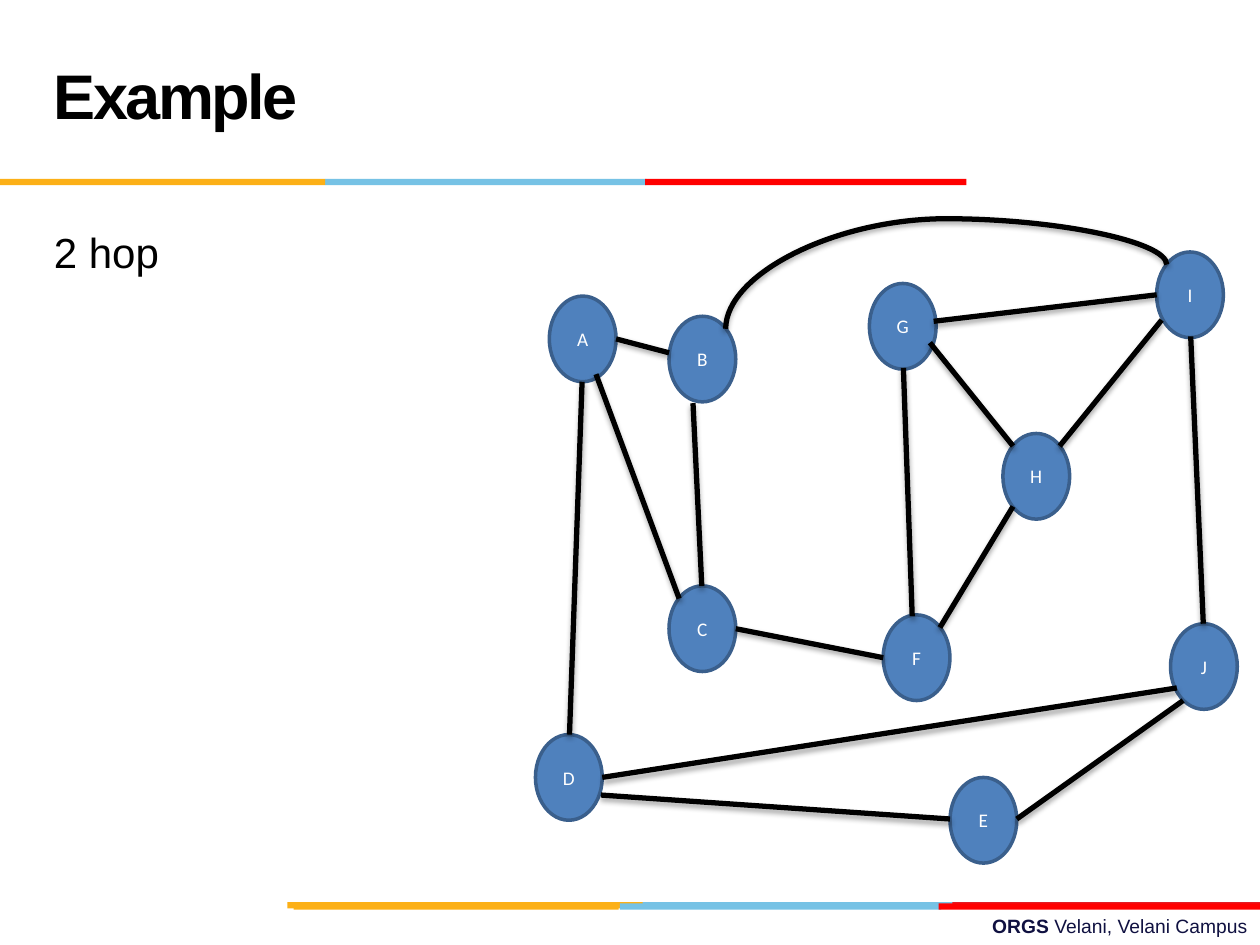
from lxml import etree
from pptx import Presentation
from pptx.dml.color import RGBColor
from pptx.enum import shapes, text
from pptx.oxml import ns
from pptx.util import Inches, Pt

COLORS = {
    "black": "000000", "white": "FFFFFF", "navy": "101141",
    "node": "4F81BD", "node_line": "3A5F8C",
    "gold": "FCB017", "sky": "76C2E5", "red": "FF0000", "crimson": "E31C24",
}

BAR_HEIGHT = 0.05
BARS = [  # left, top, width, color
    (5.06, 7.16, 2.55, "sky"), (7.56, 7.16, 2.44, "crimson"), (2.28, 7.16, 2.82, "gold"),
    (4.92, 7.17, 2.55, "sky"), (2.33, 7.17, 2.58, "gold"), (7.45, 7.17, 2.55, "red"),
    (2.58, 1.42, 2.55, "sky"), (0, 1.42, 2.58, "gold"), (5.12, 1.42, 2.55, "red"),
]

NODE_SIZE = (0.53, 0.68)
NODES = {  # label: left, top
    "A": (4.36, 2.35), "B": (5.31, 2.51), "C": (5.31, 4.65), "F": (7.01, 4.88),
    "D": (4.25, 5.83), "H": (7.96, 3.44), "E": (7.54, 6.17), "G": (6.9, 2.25),
    "J": (9.29, 4.95), "I": (9.18, 2),
}

EDGES = {  # nodes joined: start x, start y, end x, end y
    "AB": (4.89, 2.69, 5.31, 2.8), "CF": (5.84, 4.99, 7.01, 5.22),
    "AC": (4.73, 2.97, 5.39, 4.75), "AD": (4.62, 3.03, 4.52, 5.83),
    "BC": (5.5, 3.2, 5.57, 4.65), "ED": (7.54, 6.5, 4.77, 6.31),
    "GF": (7.17, 2.92, 7.24, 4.89), "IJ": (9.45, 2.67, 9.55, 4.95),
    "GH": (7.38, 2.72, 8.04, 3.54), "GI": (7.41, 2.55, 9.18, 2.34),
    "IH": (9.22, 2.54, 8.41, 3.54), "DJ": (4.78, 6.17, 9.34, 5.46),
    "HF": (8.04, 4.02, 7.46, 4.98), "JE": (9.39, 5.56, 8.07, 6.5),
}
CURVED_EDGE = (5.76, 2.61, 9.26, 2.1)  # B to I
CURVE_BEND = 171400  # how far the arc rises, in 1/1000 % of the end-to-end height


def color(name):
    return RGBColor.from_string(COLORS[name])


def write(frame, runs, size, font="Arial", fill="black", align=text.PP_ALIGN.LEFT,
          anchor=text.MSO_ANCHOR.TOP, line_spacing=None, space_before=0, tracking=None):
    """Fill a text frame with one paragraph of (words, bold) runs."""
    frame.word_wrap = True
    frame.vertical_anchor = anchor
    paragraph = frame.paragraphs[0]
    paragraph.alignment = align
    paragraph.space_before = Pt(space_before)
    if line_spacing:
        paragraph.line_spacing = Pt(line_spacing)
    for words, bold in runs:
        run = paragraph.add_run()
        run.text = words
        run.font.size = Pt(size)
        run.font.name = font
        run.font.bold = bold
        run.font.color.rgb = color(fill)
        if tracking:
            run.font._element.set("spc", str(round(tracking * 100)))


def add_text(slide, box, runs, size, **style):
    shape = slide.shapes.add_textbox(*map(Inches, box))
    write(shape.text_frame, runs, size, **style)


def add_filled(slide, kind, box, fill):
    shape = slide.shapes.add_shape(kind, *map(Inches, box))
    shape.shadow.inherit = False
    shape.fill.solid()
    shape.fill.fore_color.rgb = color(fill)
    shape.line.fill.background()
    return shape


def add_node(slide, label, corner):
    shape = add_filled(slide, shapes.MSO_SHAPE.OVAL, corner + NODE_SIZE, "node")
    shape.line.color.rgb = color("node_line")
    shape.line.width = Pt(2)
    write(shape.text_frame, [(label, False)], 11, font="Calibri", fill="white",
          align=text.PP_ALIGN.CENTER, anchor=text.MSO_ANCHOR.MIDDLE)


def add_edge(slide, ends, kind=shapes.MSO_CONNECTOR.STRAIGHT):
    edge = slide.shapes.add_connector(kind, *map(Inches, ends))
    edge.line.color.rgb = color("black")
    edge.line.width = Pt(3)
    effects = etree.SubElement(edge._element.spPr, ns.qn("a:effectLst"))
    shadow = etree.SubElement(effects, ns.qn("a:outerShdw"), blurRad=str(Pt(3.1)),
                              dist=str(Pt(1.8)), dir="5400000", rotWithShape="0")
    tint = etree.SubElement(shadow, ns.qn("a:srgbClr"), val=COLORS["black"])
    etree.SubElement(tint, ns.qn("a:alpha"), val="35000")
    return edge


def add_arc(slide, ends):
    """Draw a curved edge that leaves and arrives vertically: a quarter-turned connector."""
    x1, y1, x2, y2 = ends
    center_x, center_y = (x1 + x2) / 2, (y1 + y2) / 2
    half_width, half_height = abs(y2 - y1) / 2, abs(x2 - x1) / 2
    turned = (center_x + half_width, center_y + half_height,
              center_x - half_width, center_y - half_height)
    arc = add_edge(slide, turned, shapes.MSO_CONNECTOR.CURVE)
    properties = arc._element.spPr
    properties.find(ns.qn("a:xfrm")).set("rot", "5400000")
    guides = properties.find(ns.qn("a:prstGeom")).get_or_add_avLst()
    etree.SubElement(guides, ns.qn("a:gd"), name="adj1", fmla=f"val {CURVE_BEND}")


def main():
    presentation = Presentation()
    presentation.slide_width, presentation.slide_height = Inches(10), Inches(7.5)
    slide = presentation.slides.add_slide(presentation.slide_layouts[6])

    add_text(slide, (3.58, 7.21, 6.42, 0.29),
             [("ORGS ", True), ("Velani, Velani Campus", False)], 11,
             fill="navy", align=text.PP_ALIGN.RIGHT)
    for left, top, width, fill in BARS:
        add_filled(slide, shapes.MSO_SHAPE.RECTANGLE, (left, top, width, BAR_HEIGHT), fill)

    add_text(slide, (0.33, 1.75, 9, 4.95), [("2 hop", False)], 24, space_before=4.8)
    add_text(slide, (0.33, 0.17, 6.92, 1.25), [("Example", True)], 36,
             anchor=text.MSO_ANCHOR.MIDDLE, line_spacing=36, tracking=-1.5)

    for label, corner in NODES.items():
        add_node(slide, label, corner)
    for ends in EDGES.values():
        add_edge(slide, ends)
    add_arc(slide, CURVED_EDGE)

    presentation.save("out.pptx")


if __name__ == "__main__":
    main()
